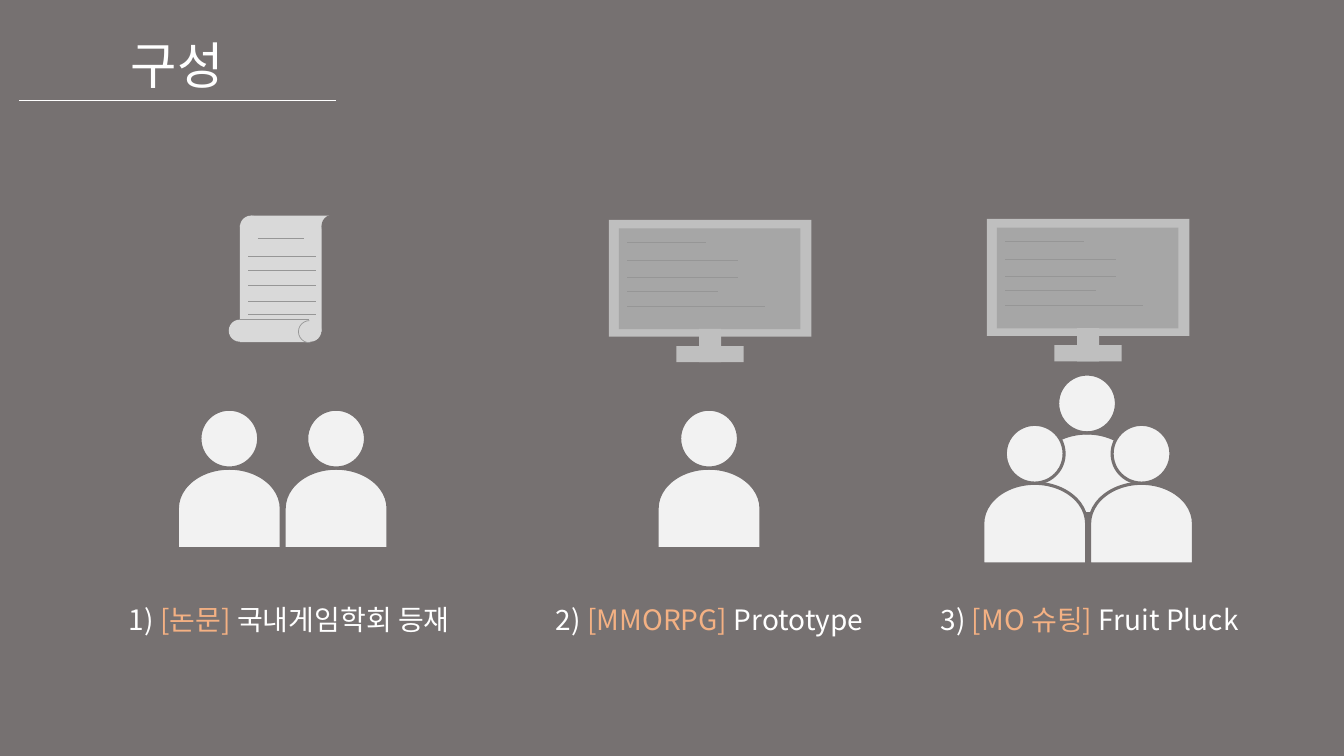
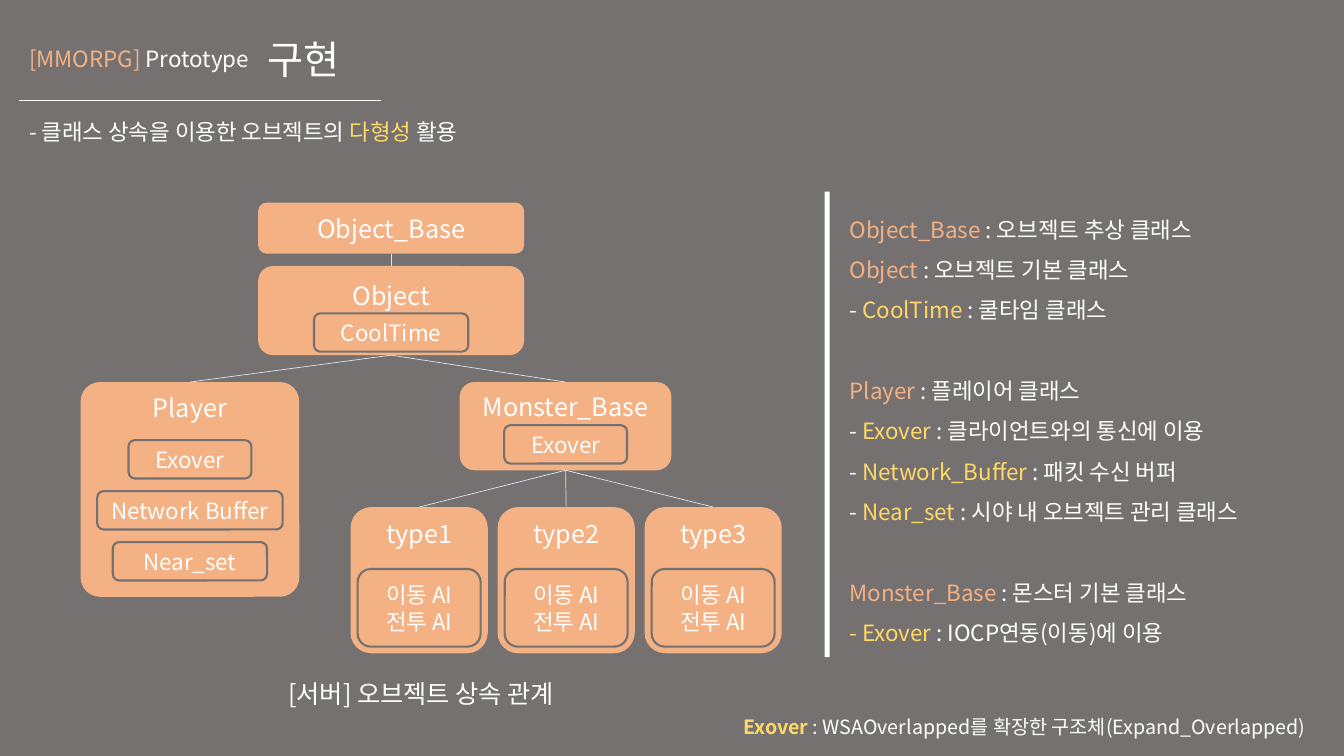
from lxml import etree
from pptx import Presentation
from pptx.dml.color import RGBColor
from pptx.enum.shapes import MSO_CONNECTOR, MSO_SHAPE
from pptx.enum.text import MSO_ANCHOR, PP_ALIGN
from pptx.oxml.ns import qn
from pptx.util import Pt

# Shared style
FONT = "Noto Sans CJK KR"
COLORS = {
    "background": "767171",
    "white": "FFFFFF",
    "orange": "F4B183",
    "yellow": "FFD966",
    "person": "F2F2F2",
    "paper": "D9D9D9",
    "frame": "BFBFBF",
    "screen": "A6A6A6",
    "detail": "969696",
    "tree": "DAE3F3",
}
RECT, OVAL, ARC = MSO_SHAPE.RECTANGLE, MSO_SHAPE.OVAL, MSO_SHAPE.ARC
ROUND, DELAY = MSO_SHAPE.ROUNDED_RECTANGLE, MSO_SHAPE.FLOWCHART_DELAY
STRAIGHT = MSO_CONNECTOR.STRAIGHT
LEFT, CENTER, RIGHT = PP_ALIGN.LEFT, PP_ALIGN.CENTER, PP_ALIGN.RIGHT
TOP, MIDDLE = MSO_ANCHOR.TOP, MSO_ANCHOR.MIDDLE
TOP_SIDE, BOTTOM_SIDE = 0, 2
RULE_LEFT, RULE_Y = 13.7, 71.4


def color(name):
    return RGBColor.from_string(COLORS[name])


def apply_format(target, values):
    for name, value in values.items():
        setattr(target, name, value)


# Basic elements
def add_shape(shapes, kind, box, fill=None, line=None, width=0.5, radius=None):
    shape = shapes.add_shape(kind, *map(Pt, box))
    shape.shadow.inherit = False
    if fill:
        shape.fill.solid()
        shape.fill.fore_color.rgb = color(fill)
    else:
        shape.fill.background()
    if line:
        shape.line.color.rgb = color(line)
        shape.line.width = Pt(width)
    else:
        shape.line.fill.background()
    if radius:
        shape.adjustments[0] = radius
    return shape


def add_line(shapes, x1, y1, x2, y2, line):
    connector = shapes.add_connector(STRAIGHT, Pt(x1), Pt(y1), Pt(x2), Pt(y2))
    connector.line.color.rgb = color(line)
    connector.line.width = Pt(0.5)
    etree.SubElement(connector._element.spPr, qn("a:effectLst"))
    return connector


def write_paragraph(paragraph, runs, size, paragraph_format):
    apply_format(paragraph, paragraph_format)
    for text, color_name, *bold in runs:
        run = paragraph.add_run()
        run.text = text
        apply_format(run.font, {"size": Pt(size), "name": FONT, "bold": bool(bold)})
        run.font.color.rgb = color(color_name)
        east_asian = etree.SubElement(run.font._element, qn("a:ea"))
        east_asian.set("typeface", FONT)


def write(shape, paragraphs, size, align=LEFT, anchor=TOP, spacing=1.0, **margins):
    frame = shape.text_frame
    apply_format(frame, {"word_wrap": True, "vertical_anchor": anchor, **margins})
    for index, runs in enumerate(paragraphs):
        paragraph = frame.add_paragraph() if index else frame.paragraphs[0]
        write_paragraph(paragraph, runs, size, {"alignment": align, "line_spacing": spacing})


def add_text(slide, box, runs, size, **layout):
    text_box = slide.shapes.add_textbox(*map(Pt, box))
    write(text_box, [runs], size, **layout)
    return text_box


def add_header_rule(slide, right):
    add_line(slide.shapes, right, RULE_Y, RULE_LEFT, RULE_Y, "white")


# Icons of the overview slide
def add_person(slide, center, head_top):
    parts = slide.shapes.add_group_shape().shapes
    head, width, height = 42, 57.6, 74.2
    body_box = (center - width / 2, head_top + 70.9 - height / 2, width, height)
    outline = {"fill": "person", "line": "background", "width": 2.25}
    body = add_shape(parts, DELAY, body_box, **outline)
    body.rotation = 270
    add_shape(parts, OVAL, (center - head / 2, head_top, head, head), **outline)


def add_monitor(slide, left, top):
    parts = slide.shapes.add_group_shape().shapes
    add_shape(parts, RECT, (left, top, 144.7, 83.5), "frame")
    add_shape(parts, RECT, (left + 7.2, top + 6.2, 129.6, 72), "screen")
    code_lines = [(15.8, 56), (29, 79.2), (41, 79.2), (51.2, 64.8), (62, 98)]
    for offset, length in code_lines:
        start, y = left + 13.2, top + offset
        add_line(parts, start, y, start + length, y, "detail")
    add_shape(parts, RECT, (left + 48.2, top + 90.2, 48.2, 11.5), "frame")
    add_shape(parts, RECT, (left + 64.4, top + 78, 15.8, 23.8), "frame")


def add_scroll(slide):
    parts = slide.shapes.add_group_shape().shapes
    curl = 15.8
    # Sheet and rolled ends
    add_shape(parts, RECT, (171.4, 160.6, 58.3, 76.3), "paper")
    add_shape(parts, RECT, (171.4, 233, 50.4, 11.5), "paper")
    for x, y in [(171.4, 154), (213.8, 228.3), (163.4, 228.3)]:
        add_shape(parts, OVAL, (x, y, curl, curl), "paper")
    add_shape(parts, RECT, (179.3, 154, 56.2, 7.2), "paper")
    add_shape(parts, OVAL, (229.7, 153.4, curl, curl), "background")
    # Roll edge
    add_line(parts, 170.6, 228.3, 221, 228.3, "detail")
    roll = add_shape(parts, ARC, (213.2, 229, curl, curl), line="detail")
    roll.adjustments[0], roll.adjustments[1] = 51.5, 161.48
    # Written lines
    add_line(parts, 184.3, 170, 217.5, 170, "detail")
    for y in (183, 193, 203.8, 215.3, 224.9):
        add_line(parts, 177.2, y, 225.4, y, "detail")


def build_overview(slide):
    add_text(slide, (RULE_LEFT, 20.9, 226, 51), [("구성", "white")], 36, align=CENTER)
    add_header_rule(slide, 239.8)
    add_scroll(slide)
    add_monitor(slide, 434.9, 157)
    add_monitor(slide, 704.9, 156.4)
    people = [(163.8, 292.3), (240.1, 292.3), (506.5, 292.3),
              (776.5, 267.2), (739.1, 303.1), (815.4, 303.1)]
    for center, head_top in people:
        add_person(slide, center, head_top)
    captions = [
        (67, 279.4, "1) ", "[논문] ", "국내게임학회 등재"),
        (367.2, 279.4, "2) ", "[MMORPG] ", "Prototype"),
        (655.2, 246.2, "3) ", "[MO 슈팅] ", "Fruit Pluck"),
    ]
    for left, width, number, genre, name in captions:
        runs = [(number, "white"), (genre, "orange"), (name, "white")]
        add_text(slide, (left, 427, width, 31.7), runs, 20, align=CENTER)


# Class tree
def add_class(slide, name, box, radius=None, **layout):
    node = add_shape(slide.shapes, ROUND, box, "orange", radius=radius)
    write(node, [[(name, "white")]], 18, align=CENTER, **layout)
    return node


def add_member(slide, owner, lines, offset, width, height=27.4):
    left = owner.left.pt + (owner.width.pt - width) / 2
    box = (left, owner.top.pt + offset, width, height)
    member = add_shape(slide.shapes, ROUND, box, line="background", width=1.5)
    write(member, [[(line, "white")] for line in lines], 16, align=CENTER,
          anchor=MIDDLE, margin_left=0, margin_right=0)


def join(slide, parent, child):
    connector = add_line(slide.shapes, 0, 0, 0, 0, "tree")
    connector.begin_connect(parent, BOTTOM_SIDE)
    connector.end_connect(child, TOP_SIDE)


def add_class_tree(slide):
    base = add_class(slide, "Object_Base", (184.4, 144.7, 190, 36.5), anchor=MIDDLE)
    game_object = add_class(slide, "Object", (184.4, 190, 190, 63.7), margin_top=Pt(7.2))
    player = add_class(slide, "Player", (57.6, 272.9, 156.2, 153.4), radius=0.09)
    monster = add_class(slide, "Monster_Base", (328.4, 272.9, 151.2, 63))
    types = [
        add_class(slide, f"type{index + 1}", (250.4 + index * 105, 362.2, 98, 104.4),
                  radius=0.15)
        for index in range(3)
    ]
    # Inheritance lines
    for parent, children in [(base, [game_object]), (game_object, [player, monster]),
                             (monster, types)]:
        for child in children:
            join(slide, parent, child)
    # Members
    add_member(slide, game_object, ["CoolTime"], 33.8, 110.2)
    add_member(slide, monster, ["Exover"], 30.8, 87.8)
    for index, (name, width) in enumerate(
            [("Exover", 87.8), ("Network Buffer", 132.5), ("Near_set", 110.2)]):
        add_member(slide, player, [name], 41.5 + index * 36.4, width)
    for monster_type in types:
        add_member(slide, monster_type, ["이동 AI", "전투 AI"], 44.3, 87.8, 55.4)


def add_class_notes(slide):
    dash = ("- ", "white")
    groups = [
        [
            [("Object_Base ", "orange"), (": 오브젝트 추상 클래스", "white")],
            [("Object ", "orange"), (": 오브젝트 기본 클래스", "white")],
            [dash, ("CoolTime", "yellow"), (" : 쿨타임 클래스", "white")],
        ],
        [
            [("Player ", "orange"), (": 플레이어 클래스", "white")],
            [dash, ("Exover ", "yellow"), (": 클라이언트와의 통신에 이용", "white")],
            [dash, ("Network_Buffer", "yellow"), (" : 패킷 수신 버퍼", "white")],
            [dash, ("Near_set ", "yellow"), (": 시야 내 오브젝트 관리 클래스", "white")],
        ],
        [
            [("Monster_Base ", "orange"), (": 몬스터 기본 클래스", "white")],
            [("- Exover ", "yellow"), (": IOCP연동(이동)에 이용", "white")],
        ],
    ]
    top, height = 136.8, 332.6
    add_shape(slide.shapes, RECT, (589, top, 3.6, height), "white")
    lines = [runs for group in groups for runs in group]
    notes = slide.shapes.add_textbox(*map(Pt, (599.8, top, 329.8, height)))
    write(notes, lines, 16, anchor=MIDDLE, spacing=1.5)
    # Gap of one line before each later group
    first_line = 0
    for group in groups[:-1]:
        first_line += len(group)
        notes.text_frame.paragraphs[first_line].space_before = Pt(28.9)


def build_implementation(slide):
    # Header
    project = [("[MMORPG] ", "orange"), ("Prototype", "white")]
    add_text(slide, (RULE_LEFT, 28.8, 214.6, 26.6), project, 16)
    add_text(slide, (184.3, 12.2, 129.6, 64.1), [("구현", "white")], 28,
             anchor=MIDDLE, spacing=0.9)
    add_header_rule(slide, 272.2)
    topic = [("- 클래스 상속을 이용한 오브젝트의 ", "white"), ("다형성 ", "yellow"),
             ("활용", "white")]
    add_text(slide, (RULE_LEFT, 71.3, 552.2, 32.4), topic, 16, spacing=1.5)
    # Tree, notes and captions
    add_class_tree(slide)
    add_class_notes(slide)
    add_text(slide, (70, 474.5, 461.5, 41), [("[서버] 오브젝트 상속 관계", "white")], 18,
             align=CENTER, anchor=MIDDLE)
    footnote = [("Exover ", "yellow", "bold"),
                (": WSAOverlapped를 확장한 구조체(Expand_Overlapped)", "white")]
    add_text(slide, (509.8, 499, 429.8, 29.5), footnote, 14, align=RIGHT, spacing=1.5)


def main():
    presentation = Presentation()
    apply_format(presentation, {"slide_width": Pt(960), "slide_height": Pt(540)})
    backdrop = presentation.slide_master.background.fill
    backdrop.solid()
    backdrop.fore_color.rgb = color("background")
    blank = presentation.slide_layouts[6]
    for build in (build_overview, build_implementation):
        build(presentation.slides.add_slide(blank))
    presentation.save("out.pptx")


if __name__ == "__main__":
    main()
